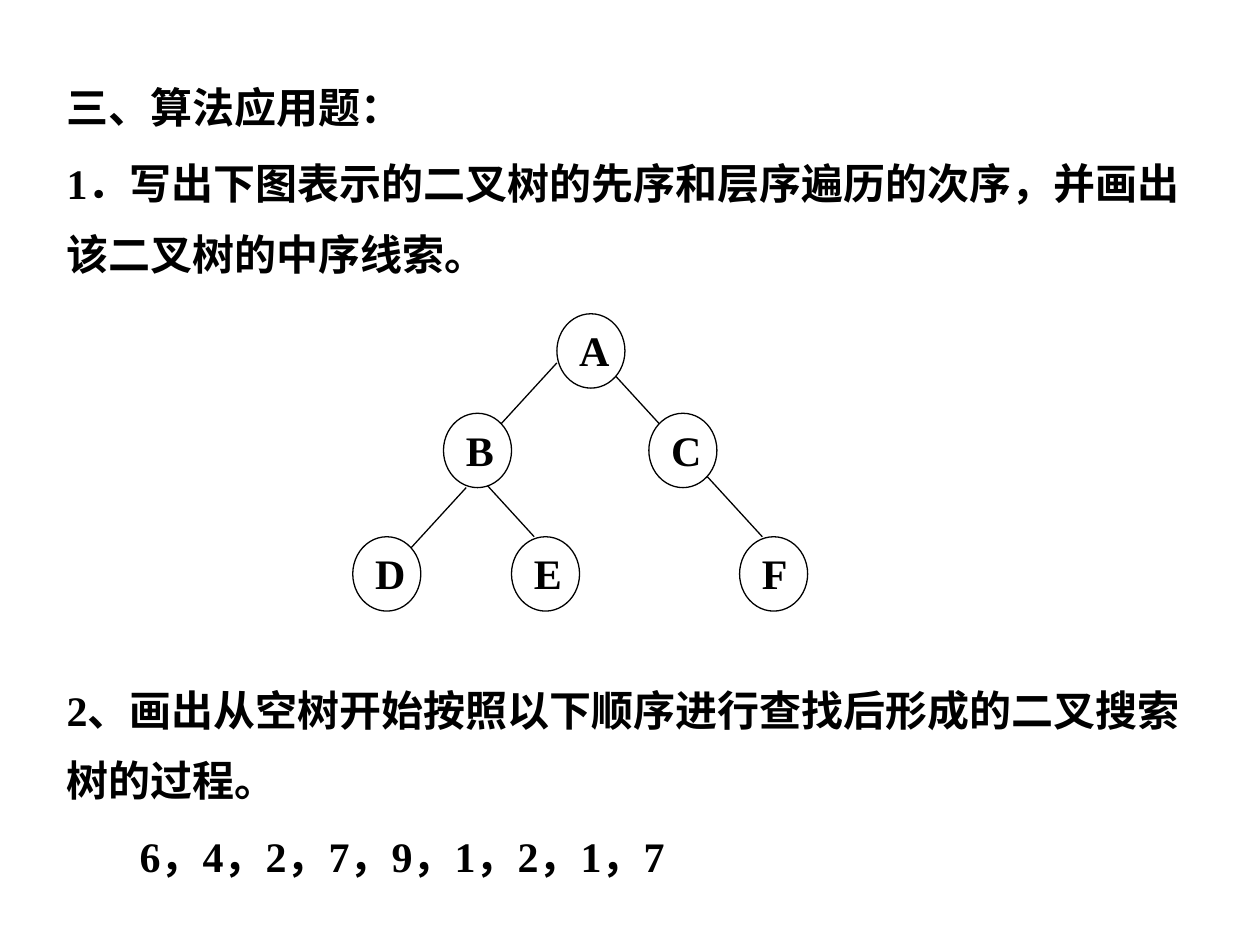
import pptx
import pptx.util
import pptx.dml.color
import pptx.enum.shapes
import pptx.enum.text
import pptx.oxml.ns
import lxml.etree

Inches, Pt = pptx.util.Inches, pptx.util.Pt
BLACK = pptx.dml.color.RGBColor(0, 0, 0)
WHITE = pptx.dml.color.RGBColor(255, 255, 255)
NODE_W, NODE_H = 0.54, 0.59

deck = pptx.Presentation()
deck.slide_width, deck.slide_height = Inches(10), Inches(7.5)
slide = deck.slides.add_slide(deck.slide_layouts[6])


def style(para):
    para.font.name = "Times New Roman"
    para.font.size = Pt(24)
    para.font.bold = True
    para.font.color.rgb = BLACK


# Questions: top, height, and (text, line spacing, first-line indent)
boxes = [
    (0.6, 1.7, [
        ("三、算法应用题：", 1, 0),
        ("1．写出下图表示的二叉树的先序和层序遍历的次序，并画出该二叉树的中序线索。", 1.4, 0),
    ]),
    (5.22, 1.85, [
        ("2、画出从空树开始按照以下顺序进行查找后形成的二叉搜索树的过程。", 1.4, 0),
        ("6，4，2，7，9，1，2，1，7", 1.4, 0.58),
    ]),
]
for top, height, lines in boxes:
    box = slide.shapes.add_textbox(Inches(0.43), Inches(top), Inches(9.25), Inches(height))
    frame = box.text_frame
    frame.word_wrap = True
    for i, (text, space, indent) in enumerate(lines):
        para = frame.paragraphs[0] if i == 0 else frame.add_paragraph()
        para.text = text
        para.line_spacing = space
        para.space_before = Pt(3 if i else 0)
        para._p.get_or_add_pPr().set("indent", str(Inches(indent)))
        style(para)

# Binary tree: edges lie behind the nodes
tree = slide.shapes.add_group_shape()

# Start of each edge, and its side: -1 left child, 1 right child
edges = [(4.42, 2.88, -1), (4.79, 2.88, 1), (3.7, 3.87, -1), (3.7, 3.67, 1), (5.51, 3.67, 1)]
for x, y, side in edges:
    edge = tree.shapes.add_connector(
        pptx.enum.shapes.MSO_CONNECTOR.STRAIGHT,
        Inches(x), Inches(y), Inches(x + side * NODE_W), Inches(y + NODE_H))
    edge.line.color.rgb = BLACK
    edge.line.width = Pt(0.75)
    lxml.etree.SubElement(edge._element.spPr, pptx.oxml.ns.qn("a:effectLst"))

nodes = [("A", 4.42, 2.49), ("B", 3.52, 3.28), ("C", 5.15, 3.28),
         ("D", 2.8, 4.26), ("E", 4.06, 4.26), ("F", 5.87, 4.26)]
for name, x, y in nodes:
    node = tree.shapes.add_shape(
        pptx.enum.shapes.MSO_SHAPE.OVAL,
        Inches(x), Inches(y), Inches(NODE_W), Inches(NODE_H))
    node.shadow.inherit = False
    node.fill.solid()
    node.fill.fore_color.rgb = WHITE
    node.line.color.rgb = BLACK
    node.line.width = Pt(0.75)
    frame = node.text_frame
    frame.margin_top = 0
    frame.vertical_anchor = pptx.enum.text.MSO_ANCHOR.TOP
    para = frame.paragraphs[0]
    para.text = name
    para.alignment = pptx.enum.text.PP_ALIGN.JUSTIFY
    style(para)

deck.save("out.pptx")
